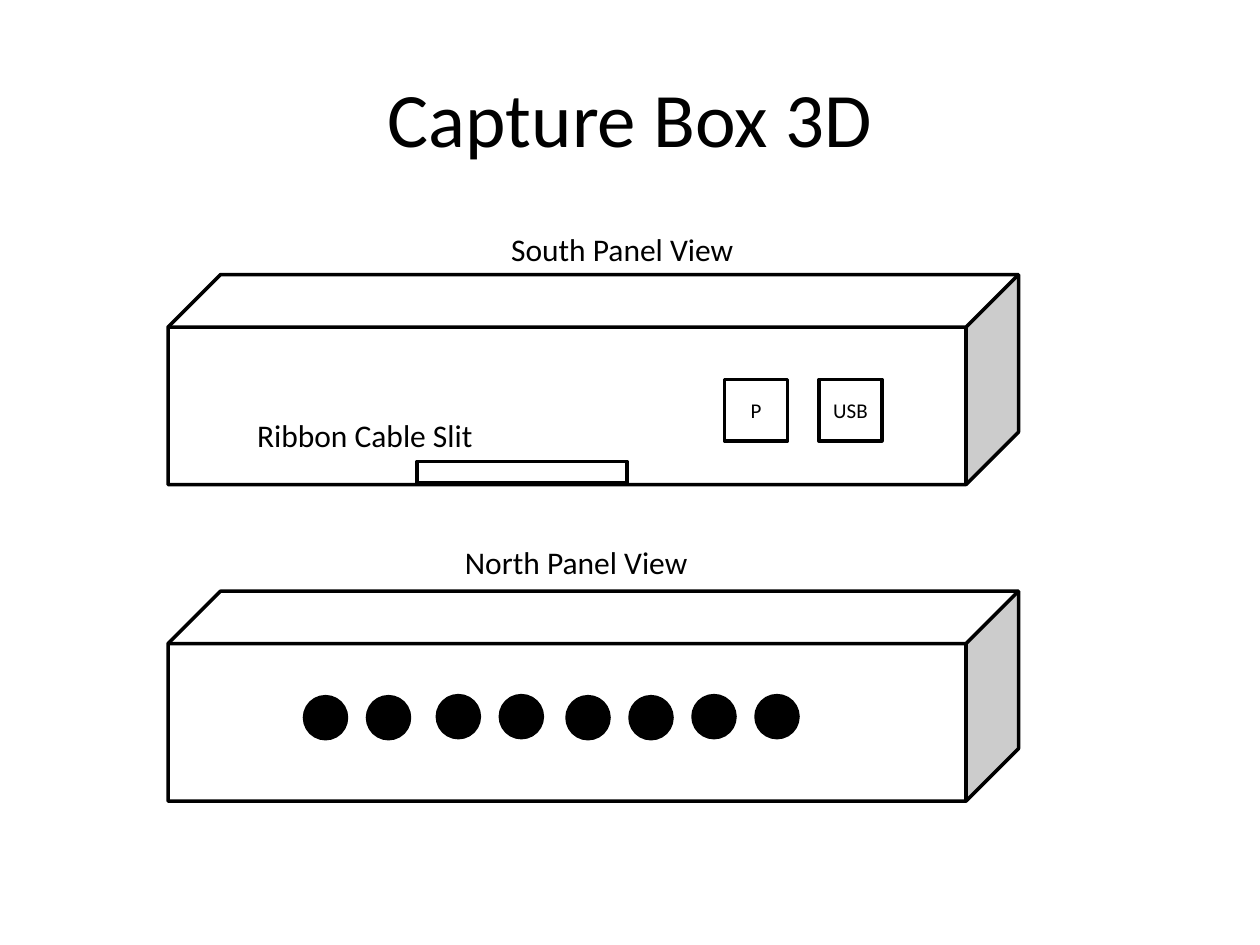
from pptx import Presentation
from pptx import util as u
from pptx.dml.color import RGBColor
from pptx.enum import shapes, text

BLACK = RGBColor(0, 0, 0)
WHITE = RGBColor(255, 255, 255)
WIDTH, HEIGHT = u.Inches(10), u.Inches(7.5)
COLS, ROWS = 120, 90  # square grid, twelve cells to the inch
MSO = shapes.MSO_SHAPE


def grid(col, row, cols, rows):
    """Turn grid cells into left, top, width and height."""
    x, y = WIDTH / COLS, HEIGHT / ROWS
    return [u.Emu(round(v)) for v in (col * x, row * y, cols * x, rows * y)]


def write(sp, words, size, align):
    tf = sp.text_frame
    tf.text = words
    p = tf.paragraphs[0]
    p.alignment = align
    font = p.runs[0].font
    for name, value in {"size": u.Pt(size), "name": "Calibri"}.items():
        setattr(font, name, value)
    font.color.rgb = BLACK


def add_title(s, words, cells):
    sp = s.shapes.title
    for name, value in zip(("left", "top", "width", "height"), grid(*cells)):
        setattr(sp, name, value)
    write(sp, words, 44, text.PP_ALIGN.CENTER)
    sp.text_frame.vertical_anchor = text.MSO_ANCHOR.MIDDLE


def add_part(s, kind, cells, fill=WHITE, words=None):
    sp = s.shapes.add_shape(kind, *grid(*cells))
    sp.shadow.inherit = False
    if fill is None:
        sp.fill.background()
    else:
        sp.fill.solid()
        sp.fill.fore_color.rgb = fill
    sp.line.color.rgb = BLACK
    sp.line.width = u.Pt(2)
    if words:
        write(sp, words, 12, text.PP_ALIGN.CENTER)
        sp.text_frame.vertical_anchor = text.MSO_ANCHOR.MIDDLE


def add_label(s, words, col, row, cols):
    sp = s.shapes.add_textbox(*grid(col, row, cols, 4.85))
    sp.text_frame.word_wrap = True
    sp.text_frame.auto_size = text.MSO_AUTO_SIZE.SHAPE_TO_FIT_TEXT
    write(sp, words, 18, text.PP_ALIGN.LEFT)


def add_box(s, row):
    add_part(s, MSO.CUBE, (16, row, 81, 20))


def main():
    prs = Presentation()
    prs.slide_width, prs.slide_height = WIDTH, HEIGHT
    s = prs.slides.add_slide(prs.slide_layouts[5])
    add_title(s, "Capture Box 3D", (6, 3.6, 108, 15))

    # South panel: cable slit and two sockets
    add_box(s, 26.15)
    add_part(s, MSO.RECTANGLE, (39.7, 43.95, 20, 2), fill=None)
    for i, socket in enumerate(("P", "USB")):
        add_part(s, MSO.RECTANGLE, (69 + 9 * i, 36.15, 6, 5.85), words=socket)
    add_label(s, "South Panel View", 47.5, 21.35, 45)

    # North panel: four pairs of round holes
    add_label(s, "North Panel View", 43.1, 51.15, 45)
    add_box(s, 56.3)
    for col, row in ((29, 66.35), (41.65, 66.25), (54, 66.35), (66, 66.25)):
        for step in (0, 6):
            add_part(s, MSO.OVAL, (col + step, row, 4, 4), fill=BLACK)

    add_label(s, "Ribbon Cable Slit", 23.3, 39, 34.7)
    prs.save("out.pptx")


main()
